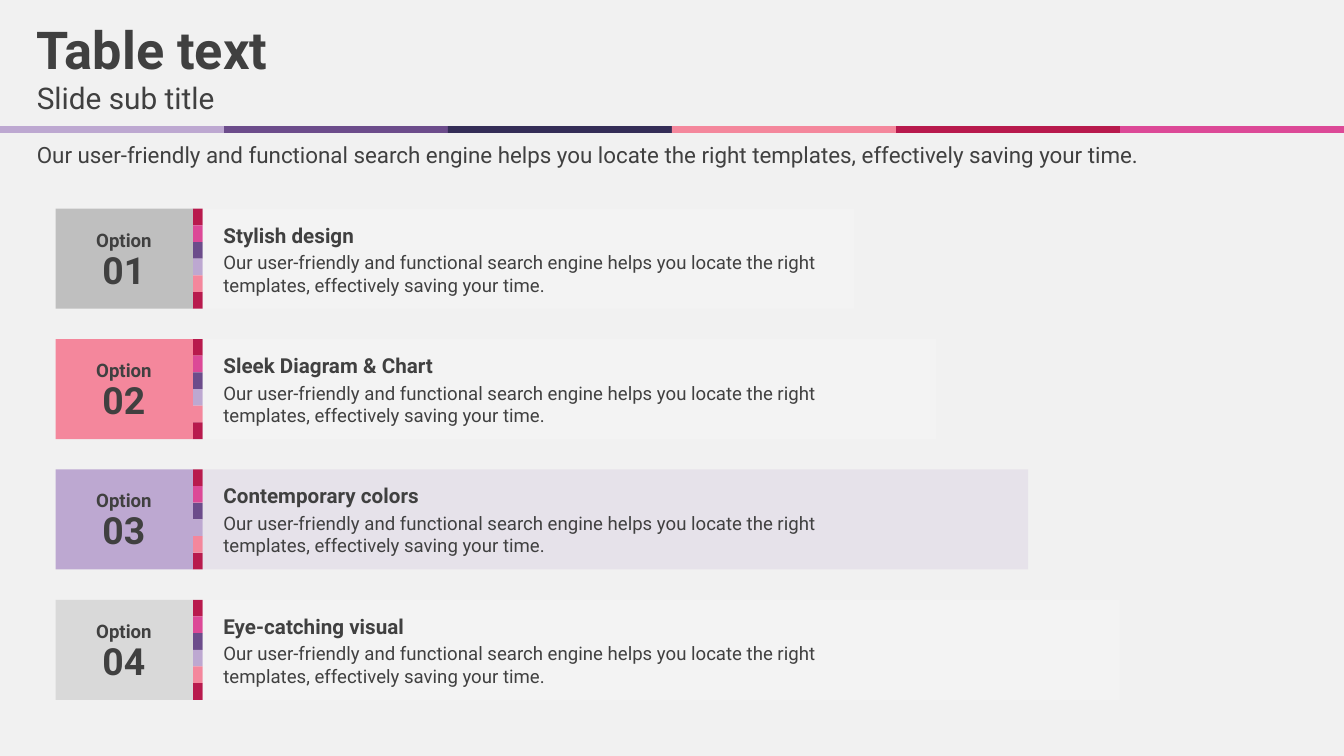
"""Build a slide with four option rows under a titled colour band."""
from dataclasses import dataclass

from lxml.etree import SubElement
from pptx import Presentation
from pptx.dml.color import RGBColor
from pptx.enum.shapes import MSO_SHAPE
from pptx.enum.text import MSO_ANCHOR, PP_ALIGN
from pptx.oxml.ns import qn
from pptx.slide import Slide
from pptx.util import Cm, Pt

WHITE = RGBColor(0xFF, 0xFF, 0xFF)
BACKGROUND = RGBColor(0xF1, 0xF1, 0xF1)
TEXT = RGBColor(0x40, 0x40, 0x40)
LILAC = RGBColor(0xBD, 0xA8, 0xD1)
PURPLE = RGBColor(0x6C, 0x4C, 0x8B)
NAVY = RGBColor(0x34, 0x2D, 0x57)
CORAL = RGBColor(0xF4, 0x87, 0x9C)
CRIMSON = RGBColor(0xB8, 0x1A, 0x4D)
PINK = RGBColor(0xDC, 0x49, 0x97)
GREY = RGBColor(0xBF, 0xBF, 0xBF)
LIGHT_GREY = RGBColor(0xD9, 0xD9, 0xD9)

FONT = "Roboto"
DESCRIPTION = (
    "Our user-friendly and functional search engine helps you locate "
    "the right templates, effectively saving your time."
)
SLIDE_WIDTH, SLIDE_HEIGHT = 33.87, 19.05
BAND_COLORS = (LILAC, PURPLE, NAVY, CORAL, CRIMSON, PINK)
STRIPE_COLORS = (CRIMSON, PINK, PURPLE, LILAC, CORAL, CRIMSON)
FIRST_ROW_TOP, ROW_PITCH, ROW_HEIGHT = 5.26, 3.285, 2.52
LABEL_LEFT, LABEL_WIDTH = 1.4, 3.46
STRIPE_LEFT, STRIPE_WIDTH = 4.86, 0.25
PANEL_LEFT = STRIPE_LEFT + STRIPE_WIDTH


@dataclass(frozen=True)
class Box:
    """Position and size in centimetres."""

    left: float
    top: float
    width: float
    height: float


@dataclass(frozen=True)
class Option:
    """One option row."""

    title: str
    label_color: RGBColor
    panel_color: RGBColor
    panel_width: float


OPTIONS = (
    Option("Stylish design", GREY, WHITE, 16.41),
    Option("Sleek Diagram & Chart", CORAL, WHITE, 18.49),
    Option("Contemporary colors", LILAC, LILAC, 20.8),
    Option("Eye-catching visual", LIGHT_GREY, WHITE, 23.11),
)


def add_rectangle(slide: Slide, box: Box, color: RGBColor, opacity: int = 100) -> None:
    """Draw a borderless rectangle with the given opacity in percent."""
    shape = slide.shapes.add_shape(
        MSO_SHAPE.RECTANGLE, Cm(box.left), Cm(box.top), Cm(box.width), Cm(box.height)
    )
    shape.shadow.inherit = False
    shape.line.fill.background()
    shape.fill.solid()
    shape.fill.fore_color.rgb = color
    if opacity < 100:
        color_element = shape.fill._xPr.find(qn("a:solidFill"))[0]
        SubElement(color_element, qn("a:alpha"), val=str(opacity * 1000))


def add_text(
    slide: Slide,
    box: Box,
    text: str,
    size: float,
    bold: bool = False,
    alignment: PP_ALIGN = PP_ALIGN.LEFT,
    anchor: MSO_ANCHOR = MSO_ANCHOR.TOP,
) -> None:
    """Place a wrapped text box without margins."""
    shape = slide.shapes.add_textbox(
        Cm(box.left), Cm(box.top), Cm(box.width), Cm(box.height)
    )
    text_frame = shape.text_frame
    text_frame.word_wrap = True
    text_frame.margin_left = text_frame.margin_right = 0
    text_frame.margin_top = text_frame.margin_bottom = 0
    text_frame.vertical_anchor = anchor
    text_frame.text = text
    paragraph = text_frame.paragraphs[0]
    paragraph.alignment = alignment
    for run in paragraph.runs:
        run.font.name = FONT
        run.font.size = Pt(size)
        run.font.bold = bold
        run.font.color.rgb = TEXT


def add_header(slide: Slide) -> None:
    """Draw the colour band, the titles and the introduction."""
    segment_width = SLIDE_WIDTH / len(BAND_COLORS)
    for index, color in enumerate(BAND_COLORS):
        add_rectangle(slide, Box(index * segment_width, 3.18, segment_width, 0.17), color)
    add_text(slide, Box(0.93, 0.43, 30.94, 1.55), "Table text", 37.3, bold=True)
    add_text(slide, Box(0.93, 2, 30.94, 1.07), "Slide sub title", 21.3)
    add_text(
        slide, Box(0.93, 3.55, 31.22, 0.68), DESCRIPTION, 16, anchor=MSO_ANCHOR.MIDDLE
    )


def add_option(slide: Slide, number: int, option: Option) -> None:
    """Draw one option row with its label, stripe and panel."""
    top = FIRST_ROW_TOP + (number - 1) * ROW_PITCH
    stripe_height = ROW_HEIGHT / len(STRIPE_COLORS)
    for index, color in enumerate(STRIPE_COLORS):
        stripe_top = top + index * stripe_height
        add_rectangle(
            slide, Box(STRIPE_LEFT, stripe_top, STRIPE_WIDTH, stripe_height), color
        )
    panel = Box(PANEL_LEFT, top, option.panel_width, ROW_HEIGHT)
    add_rectangle(slide, panel, option.panel_color, opacity=20)
    label = Box(LABEL_LEFT, top, LABEL_WIDTH, ROW_HEIGHT)
    add_rectangle(slide, label, option.label_color)
    add_text(
        slide, Box(5.63, top + 1.06, 16.59, 1.14), DESCRIPTION, 13.3,
        anchor=MSO_ANCHOR.MIDDLE,
    )
    add_text(slide, Box(5.63, top + 0.35, 12.14, 0.63), option.title, 14.7, bold=True)
    add_text(
        slide, Box(1.92, top + 0.96, 2.41, 1.14), f"{number:02}", 26.7,
        bold=True, alignment=PP_ALIGN.CENTER,
    )
    add_text(
        slide, Box(1.92, top + 0.5, 2.41, 0.56), "Option", 13.3,
        bold=True, alignment=PP_ALIGN.CENTER,
    )


def main() -> None:
    """Create and save the presentation."""
    presentation = Presentation()
    presentation.slide_width = Cm(SLIDE_WIDTH)
    presentation.slide_height = Cm(SLIDE_HEIGHT)
    slide = presentation.slides.add_slide(presentation.slide_layouts[6])
    slide.background.fill.solid()
    slide.background.fill.fore_color.rgb = BACKGROUND
    add_header(slide)
    for number, option in enumerate(OPTIONS, start=1):
        add_option(slide, number, option)
    presentation.save("out.pptx")


if __name__ == "__main__":
    main()
